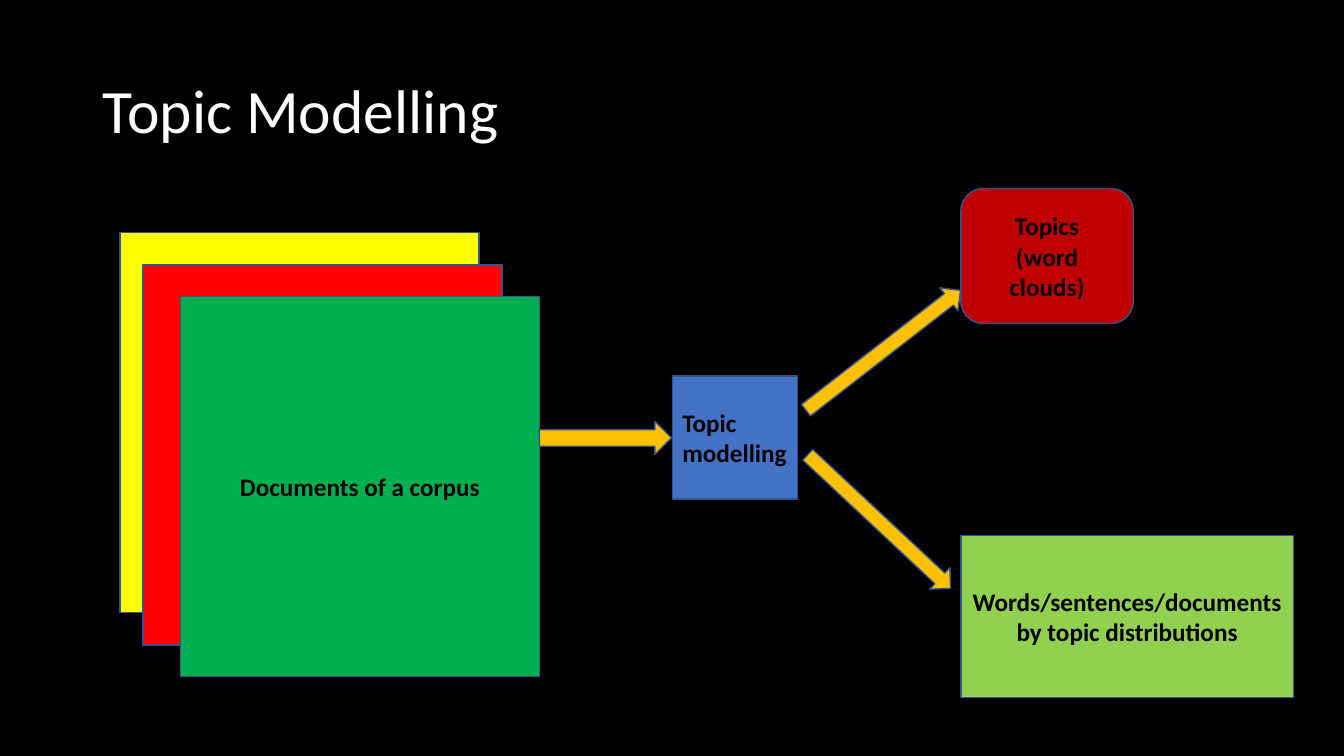
from pptx import Presentation
from pptx.dml.color import RGBColor
from pptx.enum.shapes import MSO_SHAPE
from pptx.enum.text import MSO_ANCHOR, PP_ALIGN
from pptx.util import Inches, Pt

RECT, ROUNDED, ARROW = MSO_SHAPE.RECTANGLE, MSO_SHAPE.ROUNDED_RECTANGLE, MSO_SHAPE.RIGHT_ARROW
LEFT, CENTER = PP_ALIGN.LEFT, PP_ALIGN.CENTER
MIDDLE = MSO_ANCHOR.MIDDLE
FONT = "Calibri"


def color(hex_code):
    return RGBColor.from_string(hex_code)


def write(frame, lines, size, hex_code, bold, align):
    frame.word_wrap = True
    frame.vertical_anchor = MIDDLE
    for index, line in enumerate(lines):
        paragraph = frame.paragraphs[0] if index == 0 else frame.add_paragraph()
        paragraph.alignment = align
        run = paragraph.add_run()
        run.text = line
        run.font.name = FONT
        run.font.size = Pt(size)
        run.font.bold = bold
        run.font.color.rgb = color(hex_code)


deck = Presentation()
deck.slide_width, deck.slide_height = Inches(13.33), Inches(7.5)
slide = deck.slides.add_slide(deck.slide_layouts[5])
slide.background.fill.solid()
slide.background.fill.fore_color.rgb = color("000000")

# Title
title = slide.shapes.title
title.left, title.top = Inches(0.92), Inches(0.4)
title.width, title.height = Inches(11.5), Inches(1.45)
write(title.text_frame, ["Topic Modelling"], 44, "FFFFFF", False, LEFT)
title.text_frame.paragraphs[0].line_spacing = 0.9

# Flow from back to front: kind, left, top, width, height, rotation, fill, lines, alignment
page_size = (3.56, 3.77)
branch_size = (1.94, 0.29)
output_left = 9.53
flow = [
    # Stack of documents
    (RECT, 1.19, 2.31, *page_size, 0, "FFFF00", [], CENTER),
    (RECT, 1.42, 2.63, *page_size, 0, "FF0000", [], CENTER),
    (RECT, 1.79, 2.94, *page_size, 0, "00B050", ["Documents of a corpus"], CENTER),
    # Model and its input
    (RECT, 6.67, 3.73, 1.24, 1.22, 0, "4472C4", ["Topic modelling"], LEFT),
    (ARROW, 5.35, 4.18, 1.31, 0.33, 0, "FFC000", [], CENTER),
    # Outputs
    (ARROW, 7.79, 3.33, *branch_size, 322.2, "FFC000", [], CENTER),
    (ROUNDED, output_left, 1.87, 1.71, 1.34, 0, "C00000", ["Topics", "(word clouds)"], CENTER),
    (ARROW, 7.75, 5.03, *branch_size, 43.1, "FFC000", [], CENTER),
    (RECT, output_left, 5.31, 3.3, 1.61, 0, "92D050",
     ["Words/sentences/documents by topic distributions"], CENTER),
]
for kind, left, top, width, height, rotation, fill, lines, align in flow:
    part = slide.shapes.add_shape(kind, Inches(left), Inches(top), Inches(width), Inches(height))
    part.rotation = rotation
    part.shadow.inherit = False
    part.fill.solid()
    part.fill.fore_color.rgb = color(fill)
    part.line.color.rgb = color("325491")
    part.line.width = Pt(1)
    write(part.text_frame, lines, 18, "000000", True, align)

deck.save("out.pptx")
